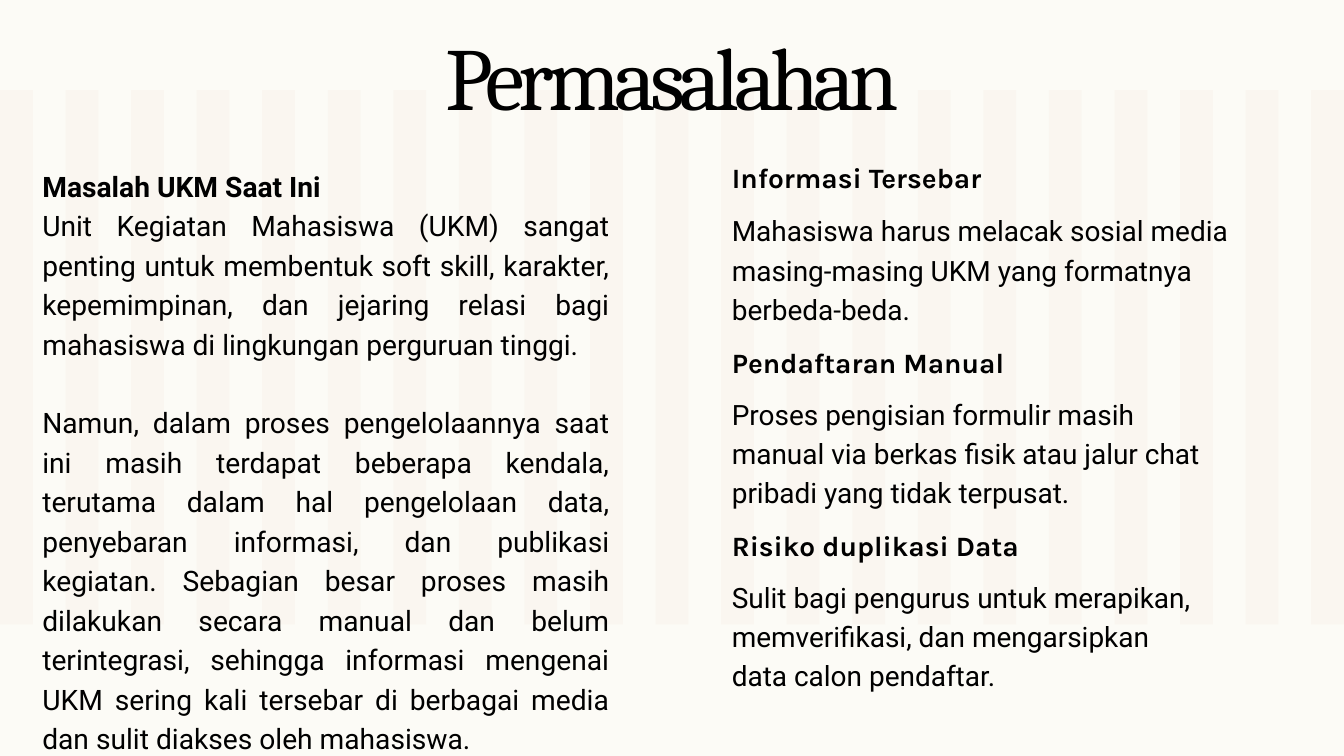
from dataclasses import dataclass

from lxml import etree
from pptx import Presentation
from pptx.dml.color import RGBColor
from pptx.enum import shapes, text
from pptx.oxml import ns
from pptx.util import Inches, Pt

CREAM = RGBColor(0xFC, 0xFB, 0xF6)
STRIPE = RGBColor(0xF8, 0xF2, 0xE9)
BLACK = RGBColor(0, 0, 0)

PAGE_WIDTH, PAGE_HEIGHT = 20, 11.25
STRIPE_COUNT = 21
STRIPE_OPACITY = 46
RIGHT_COLUMN = 10.89


@dataclass
class Problem:
    heading: str
    heading_top: float
    body: str
    body_top: float
    body_width: float = 7.11


PROBLEMS = [
    Problem("Informasi Tersebar", 2.31,
            "Mahasiswa harus melacak sosial media masing-masing UKM yang "
            "formatnya berbeda-beda.", 3.1, 8.48),
    Problem("Pendaftaran Manual", 5.06,
            "Proses pengisian formulir masih manual via berkas fisik atau "
            "jalur chat pribadi yang tidak terpusat.", 5.83),
    Problem("Risiko duplikasi Data", 7.78,
            "Sulit bagi pengurus untuk merapikan, memverifikasi, dan "
            "mengarsipkan data calon pendaftar.", 8.55),
]

INTRO_HEADING = "Masalah UKM Saat Ini"
INTRO = (
    "Unit Kegiatan Mahasiswa (UKM) sangat penting untuk membentuk soft skill, "
    "karakter, kepemimpinan, dan jejaring relasi bagi mahasiswa di lingkungan "
    "perguruan tinggi."
)
CONSTRAINTS = (
    "Namun, dalam proses pengelolaannya saat ini masih terdapat beberapa kendala, "
    "terutama dalam hal pengelolaan data, penyebaran informasi, dan publikasi "
    "kegiatan. Sebagian besar proses masih dilakukan secara manual dan belum "
    "terintegrasi, sehingga informasi mengenai UKM sering kali tersebar di "
    "berbagai media dan sulit diakses oleh mahasiswa."
)


def prepare_frame(box):
    """Remove the margins and wrap the text from the top of the box."""
    frame = box.text_frame
    frame.margin_left = frame.margin_right = 0
    frame.margin_top = frame.margin_bottom = 0
    frame.word_wrap = True
    frame.auto_size = text.MSO_AUTO_SIZE.NONE
    frame.vertical_anchor = text.MSO_ANCHOR.TOP
    return frame


def add_box(page, left: float, top: float, width: float, height: float):
    box = page.shapes.add_textbox(
        Inches(left), Inches(top), Inches(width), Inches(height))
    return prepare_frame(box)


def write(para, words: str, *, font: str = "Roboto", size: float = 30,
          bold: bool = False, line: float = 42, before: float = 0,
          align=text.PP_ALIGN.LEFT, tracking: float = 0) -> None:
    para.alignment = align
    para.line_spacing = Pt(line)
    para.space_before = Pt(before)
    span = para.add_run()
    span.text = words
    span.font.name = font
    span.font.size = Pt(size)
    span.font.bold = bold
    span.font.color.rgb = BLACK
    if tracking:
        span.font._element.set("spc", str(round(tracking * 100)))


def add_stripes(page) -> None:
    """Fill the page width with stripes, each gap as wide as a stripe."""
    width = PAGE_WIDTH / (2 * STRIPE_COUNT - 1)
    group = page.shapes.add_group_shape()
    for index in range(STRIPE_COUNT):
        stripe = group.shapes.add_shape(
            shapes.MSO_SHAPE.RECTANGLE, Inches(2 * index * width),
            Inches(1.34), Inches(width), Inches(7.95))
        stripe.shadow.inherit = False
        stripe.line.fill.background()
        stripe.fill.solid()
        stripe.fill.fore_color.rgb = STRIPE
        color = stripe.element.spPr.find(".//" + ns.qn("a:srgbClr"))
        etree.SubElement(color, ns.qn("a:alpha"), val=str(STRIPE_OPACITY * 1000))


def add_title(page) -> None:
    title = page.shapes.title
    title.left, title.top = Inches(4.59), Inches(0.85)
    title.width, title.height = Inches(10.83), Inches(1.19)
    write(prepare_frame(title).paragraphs[0], "Permasalahan", font="Cambria",
          size=95, line=76, align=text.PP_ALIGN.CENTER, tracking=-6.1)
    title.element.getparent().append(title.element)  # in front of the stripes


def add_intro(page) -> None:
    frame = add_box(page, 0.63, 2.43, 8.45, 8.71)
    style = dict(size=30.2, line=42.3, align=text.PP_ALIGN.JUSTIFY)
    write(frame.paragraphs[0], INTRO_HEADING, bold=True, **style)
    write(frame.add_paragraph(), INTRO, **style)
    write(frame.add_paragraph(), CONSTRAINTS, before=42.3, **style)


def add_problem(page, problem: Problem) -> None:
    heading = add_box(page, RIGHT_COLUMN, problem.heading_top, 7.11, 0.54)
    write(heading.paragraphs[0], problem.heading, font="Karla", bold=True)
    body = add_box(page, RIGHT_COLUMN, problem.body_top, problem.body_width, 1.7)
    write(body.paragraphs[0], problem.body)


def main() -> None:
    deck = Presentation()
    deck.slide_width, deck.slide_height = Inches(PAGE_WIDTH), Inches(PAGE_HEIGHT)
    page = deck.slides.add_slide(deck.slide_layouts.get_by_name("Title Only"))
    page.background.fill.solid()
    page.background.fill.fore_color.rgb = CREAM
    add_stripes(page)
    add_title(page)
    add_intro(page)
    for problem in PROBLEMS:
        add_problem(page, problem)
    deck.save("out.pptx")


if __name__ == "__main__":
    main()
